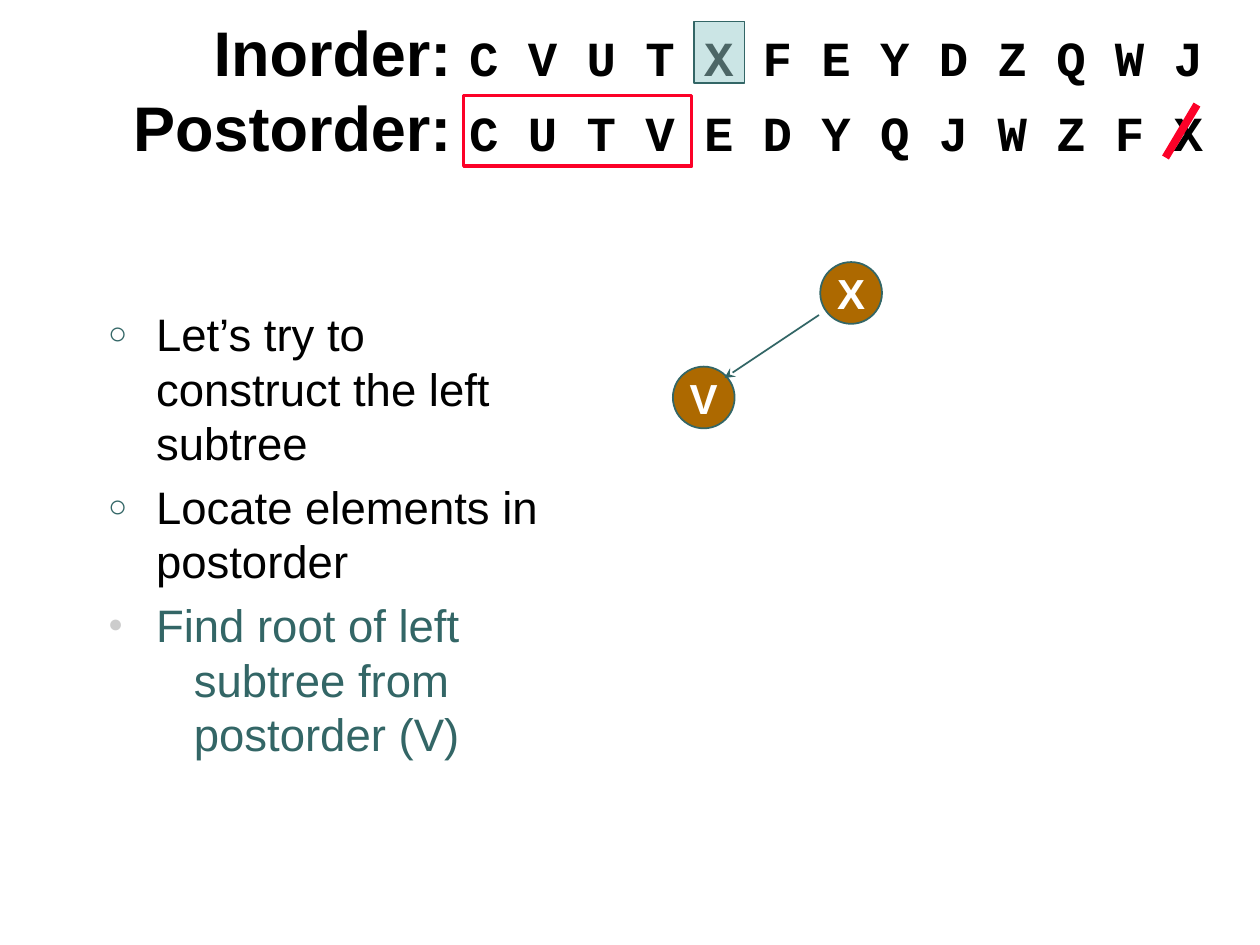
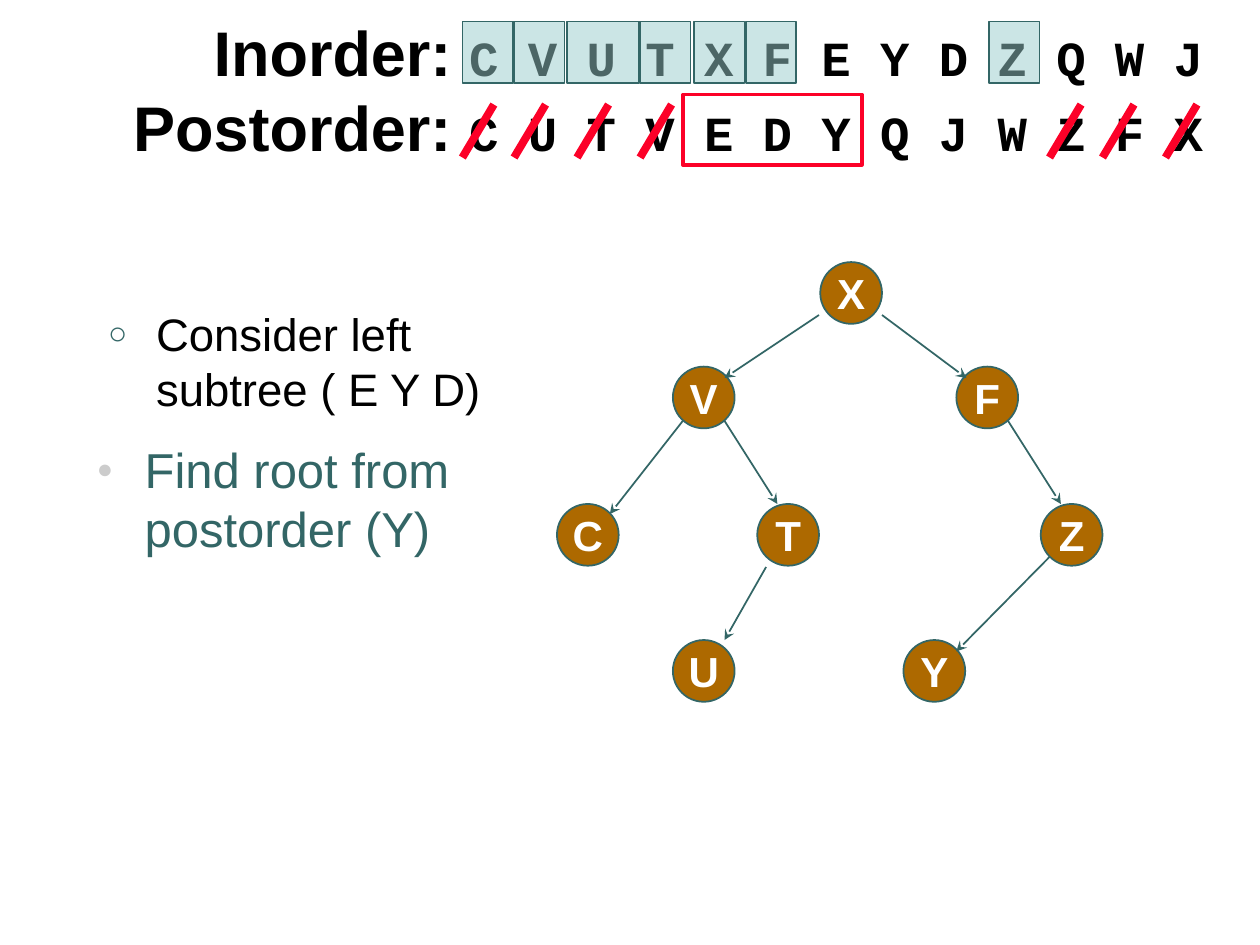
import pptx
import pptx.dml.color
import pptx.enum.shapes
import pptx.enum.text
import pptx.oxml
import pptx.oxml.ns
import pptx.util
from lxml import etree

Inches = pptx.util.Inches
Pt = pptx.util.Pt
qn = pptx.oxml.ns.qn
MSO_SHAPE = pptx.enum.shapes.MSO_SHAPE

HEX = {
    "black": "000000",
    "white": "FFFFFF",
    "teal": "336666",
    "pale_teal": "99CCCC",
    "brown": "AD6900",
    "red": "FC0128",
    "grey": "CCCCCC",
}
COLOURS = {name: pptx.dml.color.RGBColor.from_string(value) for name, value in HEX.items()}

TRAVERSALS = [
    ("Inorder: ", "C V U T X F E Y D Z Q W J"),
    ("Postorder: ", "C U T V E D Y Q J W Z F X"),
]
NODE_SIZE = 0.49
NODES = {
    "X": (6.51, 2.08),
    "V": (5.34, 2.91),
    "F": (7.59, 2.91),
    "C": (4.42, 4),
    "T": (6.01, 4),
    "Z": (8.26, 4),
    "U": (5.34, 5.08),
    "Y": (7.17, 5.08),
}
EDGES = {
    "XV": (6.5, 2.5, 5.75, 3),
    "XF": (7, 2.5, 7.67, 3),
    "VC": (5.42, 3.34, 4.84, 4.08),
    "VT": (5.75, 3.34, 6.17, 4),
    "FZ": (8, 3.34, 8.42, 4),
    "TU": (6.08, 4.5, 5.75, 5.08),
    "ZY": (8.33, 4.42, 7.59, 5.17),
}
OPEN_BULLET = ("○", "teal", 70)
SOLID_BULLET = ("●", "grey", 55)

SLIDES = [
    {
        "nodes": "XV",
        "edges": ["XV"],
        "visited": [(5.51, 0.4)],
        "subtree": (3.68, 0.76, 1.81),
        "struck": [9.25],
        "notes": [
            (0.76, 2.38, 3.68, 4.06, 26, [
                ("Let’s try to construct the left subtree", "black", OPEN_BULLET, 0.38),
                ("Locate elements in\vpostorder", "black", OPEN_BULLET, 0.38),
                ("Find root of left", "teal", SOLID_BULLET, 0.38),
                ("subtree from\vpostorder (V)", "teal", None, 0.68),
            ]),
        ],
    },
    {
        "nodes": "XVFCTZUY",
        "edges": list(EDGES),
        "visited": [(3.67, 0.4), (4.08, 0.4), (4.5, 0.57), (5.08, 0.4),
                    (5.51, 0.4), (5.92, 0.4), (7.85, 0.4)],
        "subtree": (5.42, 0.75, 1.42),
        "struck": [3.67, 4.08, 4.58, 5.08, 8.33, 8.75, 9.25],
        "notes": [
            (0.76, 2.38, 3.68, 1.05, 26, [
                ("Consider left subtree ( E Y D)", "black", OPEN_BULLET, 0.38),
            ]),
            (0.67, 3.44, 4.18, 1.2, 28, [
                ("Find root from postorder (Y)", "teal", SOLID_BULLET, 0.38),
            ]),
        ],
    },
]


def add_shape(slide, kind, left, top, width, height, fill, line, line_width):
    shape = slide.shapes.add_shape(kind, Inches(left), Inches(top), Inches(width), Inches(height))
    shape.shadow.inherit = False
    if fill:
        shape.fill.solid()
        shape.fill.fore_color.rgb = COLOURS[fill]
    else:
        shape.fill.background()
    shape.line.color.rgb = COLOURS[line]
    shape.line.width = Pt(line_width)
    return shape


def add_line(slide, ends, colour, width, arrow=False):
    connector = slide.shapes.add_connector(
        pptx.enum.shapes.MSO_CONNECTOR.STRAIGHT, *[Inches(value) for value in ends])
    connector.line.color.rgb = COLOURS[colour]
    connector.line.width = Pt(width)
    properties = connector.element.spPr
    if arrow:
        etree.SubElement(properties.find(qn("a:ln")), qn("a:tailEnd"), type="stealth")
    etree.SubElement(properties, qn("a:effectLst"))


presentation = pptx.Presentation()
presentation.slide_width = Inches(10)
presentation.slide_height = Inches(7.5)

for content in SLIDES:
    slide = presentation.slides.add_slide(presentation.slide_layouts[5])

    title = slide.shapes.title
    title.left, title.top = Inches(0.25), Inches(0.08)
    title.width, title.height = Inches(9.4), Inches(1.25)
    frame = title.text_frame
    frame.auto_size = pptx.enum.text.MSO_AUTO_SIZE.NONE
    frame.vertical_anchor = pptx.enum.text.MSO_ANCHOR.MIDDLE
    for index, (label, letters) in enumerate(TRAVERSALS):
        paragraph = frame.add_paragraph() if index else frame.paragraphs[0]
        paragraph.alignment = pptx.enum.text.PP_ALIGN.RIGHT
        for text, size, font_name in [(label, 36, "Arial"), (letters, 28, "Courier New")]:
            run = paragraph.add_run()
            run.text = text
            run.font.name = font_name
            run.font.size = Pt(size)
            run.font.bold = True
            run.font.color.rgb = COLOURS["black"]

    for left, top, width, height, size, items in content["notes"]:
        box = slide.shapes.add_textbox(Inches(left), Inches(top), Inches(width), Inches(height))
        frame = box.text_frame
        frame.word_wrap = True
        for index, (text, colour, bullet, margin) in enumerate(items):
            paragraph = frame.add_paragraph() if index else frame.paragraphs[0]
            paragraph.text = text
            properties = paragraph._p.get_or_add_pPr()
            properties.set("marL", str(Inches(margin)))
            if bullet:
                character, bullet_colour, percent = bullet
                properties.set("indent", str(-Inches(margin)))
                bullet_fill = etree.SubElement(properties, qn("a:buClr"))
                etree.SubElement(bullet_fill, qn("a:srgbClr"), val=HEX[bullet_colour])
                etree.SubElement(properties, qn("a:buSzPct"), val=str(percent * 1000))
                etree.SubElement(properties, qn("a:buFont"), typeface="Arial")
                etree.SubElement(properties, qn("a:buChar"), char=character)
                if index:
                    paragraph.space_before = Pt(size * 0.2)
            paragraph.font.name = "Arial"
            paragraph.font.size = Pt(size)
            paragraph.font.color.rgb = COLOURS[colour]

    for letter in content["nodes"]:
        node = add_shape(slide, MSO_SHAPE.OVAL, *NODES[letter], NODE_SIZE, NODE_SIZE,
                         "brown", "teal", 1)
        frame = node.text_frame
        frame.word_wrap = False
        frame.margin_left = frame.margin_right = frame.margin_top = frame.margin_bottom = 0
        frame.vertical_anchor = pptx.enum.text.MSO_ANCHOR.MIDDLE
        paragraph = frame.paragraphs[0]
        paragraph.text = letter
        paragraph.alignment = pptx.enum.text.PP_ALIGN.CENTER
        paragraph.font.name = "Arial"
        paragraph.font.size = Pt(24)
        paragraph.font.bold = True
        paragraph.font.color.rgb = COLOURS["white"]

    for edge in content["edges"]:
        add_line(slide, EDGES[edge], "teal", 1, arrow=True)

    for left, width in content["visited"]:
        highlight = add_shape(slide, MSO_SHAPE.RECTANGLE, left, 0.17, width, 0.49,
                              "pale_teal", "teal", 1)
        fill_colour = highlight.element.spPr.find(qn("a:solidFill")).find(qn("a:srgbClr"))
        etree.SubElement(fill_colour, qn("a:alpha"), val="50000")

    left, top, width = content["subtree"]
    add_shape(slide, MSO_SHAPE.RECTANGLE, left, top, width, 0.56, None, "red", 2)

    for left in content["struck"]:
        add_line(slide, (left, 1.25, left + 0.25, 0.83), "red", 4.5)

presentation.save("out.pptx")
